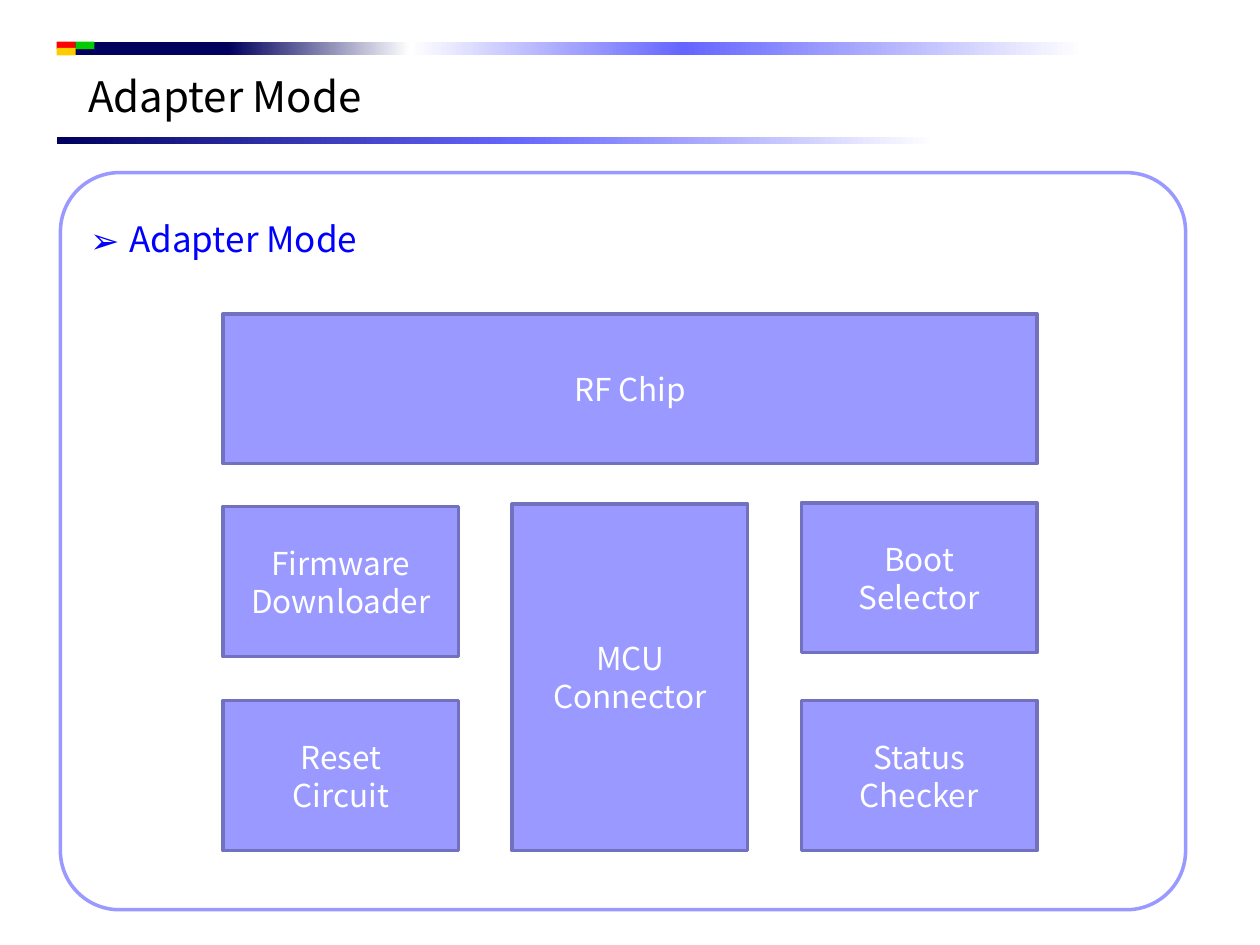
from lxml import etree
from pptx import Presentation
from pptx.dml.color import RGBColor
from pptx.enum.shapes import MSO_SHAPE as SHAPE
from pptx.enum.text import MSO_ANCHOR as ANCHOR, PP_ALIGN as ALIGN
from pptx.oxml.ns import qn
from pptx.util import Inches, Pt

FONT = "Noto Sans CJK KR"
NAVY, BLUE, LILAC, WHITE = "00005E", "6565FF", "9999FF", "FFFFFF"


def rgb(color):
    return RGBColor.from_string(color)


def add_box(slide, box, fill, line=None, kind=SHAPE.RECTANGLE):
    sp = slide.shapes.add_shape(kind, *map(Inches, box))
    sp.shadow.inherit = False
    sp.fill.solid()
    sp.fill.fore_color.rgb = rgb(fill)
    if line:
        sp.line.color.rgb = rgb(line)
        sp.line.width = Pt(2)
    else:
        sp.line.fill.background()
    return sp


def add_gradient_bar(slide, box, stops):
    """Draw a bar whose colour runs left to right through (percent, colour) stops."""
    sp = add_box(slide, box, WHITE)
    solid = sp._element.spPr.find(qn("a:solidFill"))
    grad = etree.Element(qn("a:gradFill"), rotWithShape="1")
    gs_list = etree.SubElement(grad, qn("a:gsLst"))
    for percent, color in stops:
        gs = etree.SubElement(gs_list, qn("a:gs"), pos=str(percent * 1000))
        etree.SubElement(gs, qn("a:srgbClr"), val=color)
    etree.SubElement(grad, qn("a:lin"), ang="0", scaled="0")
    solid.getparent().replace(solid, grad)


def set_text(sp, text, size, color, align, anchor):
    tf = sp.text_frame
    tf.text = text
    tf.word_wrap = True
    tf.vertical_anchor = anchor
    for p in tf.paragraphs:
        p.alignment = align
        for r in p.runs:
            r.font.size = Pt(size)
            r.font.name = FONT
            r.font.color.rgb = rgb(color)


def add_header(slide, box, title):
    x, y, w, h = box
    add_gradient_bar(slide, (x, y, w, 0.11),
                     [(15, NAVY), (31, WHITE), (55, BLUE), (90, WHITE)])
    tile_w, tile_h = 0.15, 0.06
    for col, row, color in [(0, 0, "FF0000"), (1, 0, "00CC00"), (0, 1, "FFCC00")]:
        add_box(slide, (x + col * tile_w, y + row * 0.05, tile_w, tile_h), color)
    add_gradient_bar(slide, (x, y + h - 0.05, w, 0.05),
                     [(0, NAVY), (40, BLUE), (77, WHITE)])

    sp = slide.shapes.title
    sp.left, sp.top, sp.width, sp.height = map(Inches, (x + 0.15, y + 0.18, 8.81, 0.5))
    set_text(sp, title, 24, "000000", ALIGN.LEFT, ANCHOR.MIDDLE)


def add_panel(slide, box, heading):
    sp = add_box(slide, box, WHITE, LILAC, SHAPE.ROUNDED_RECTANGLE)
    sp.adjustments[0] = 0.08
    set_text(sp, heading, 20, "0000FF", ALIGN.LEFT, ANCHOR.TOP)
    p = sp.text_frame.paragraphs[0]
    p.line_spacing = 1.5
    pPr = p._p.get_or_add_pPr()
    indent = Inches(0.31)
    pPr.set("marL", str(indent))
    pPr.set("indent", str(-indent))
    etree.SubElement(pPr, qn("a:buFont"), typeface=FONT)
    etree.SubElement(pPr, qn("a:buChar"), char="➢")


def add_modules(slide, box):
    """Draw the wide chip block over three columns of modules."""
    x, y, w, h = box
    block_w, block_h = 1.87, 1.19
    mid, right = (w - block_w) / 2, w - block_w
    low = h - block_h
    blocks = [
        ("RF Chip", 0, 0, w, block_h),
        ("Firmware Downloader", 0, 1.53, block_w, block_h),
        ("MCU\nConnector", mid, 1.51, block_w, h - 1.51),
        ("Boot\nSelector", right, 1.5, block_w, block_h),
        ("Reset\nCircuit", 0, low, block_w, block_h),
        ("Status\nChecker", right, low, block_w, block_h),
    ]
    for text, dx, dy, bw, bh in blocks:
        sp = add_box(slide, (x + dx, y + dy, bw, bh), LILAC, "7171BD")
        set_text(sp, text, 18, WHITE, ALIGN.CENTER, ANCHOR.MIDDLE)


def main():
    prs = Presentation()
    prs.slide_width, prs.slide_height = Inches(10), Inches(7.5)
    slide = prs.slides.add_slide(prs.slide_layouts[5])
    add_header(slide, (0.45, 0.33, 9.05, 0.81), "Adapter Mode")
    add_panel(slide, (0.48, 1.37, 8.93, 5.85), "Adapter Mode")
    add_modules(slide, (1.77, 2.49, 6.46, 4.26))
    prs.save("out.pptx")


if __name__ == "__main__":
    main()
